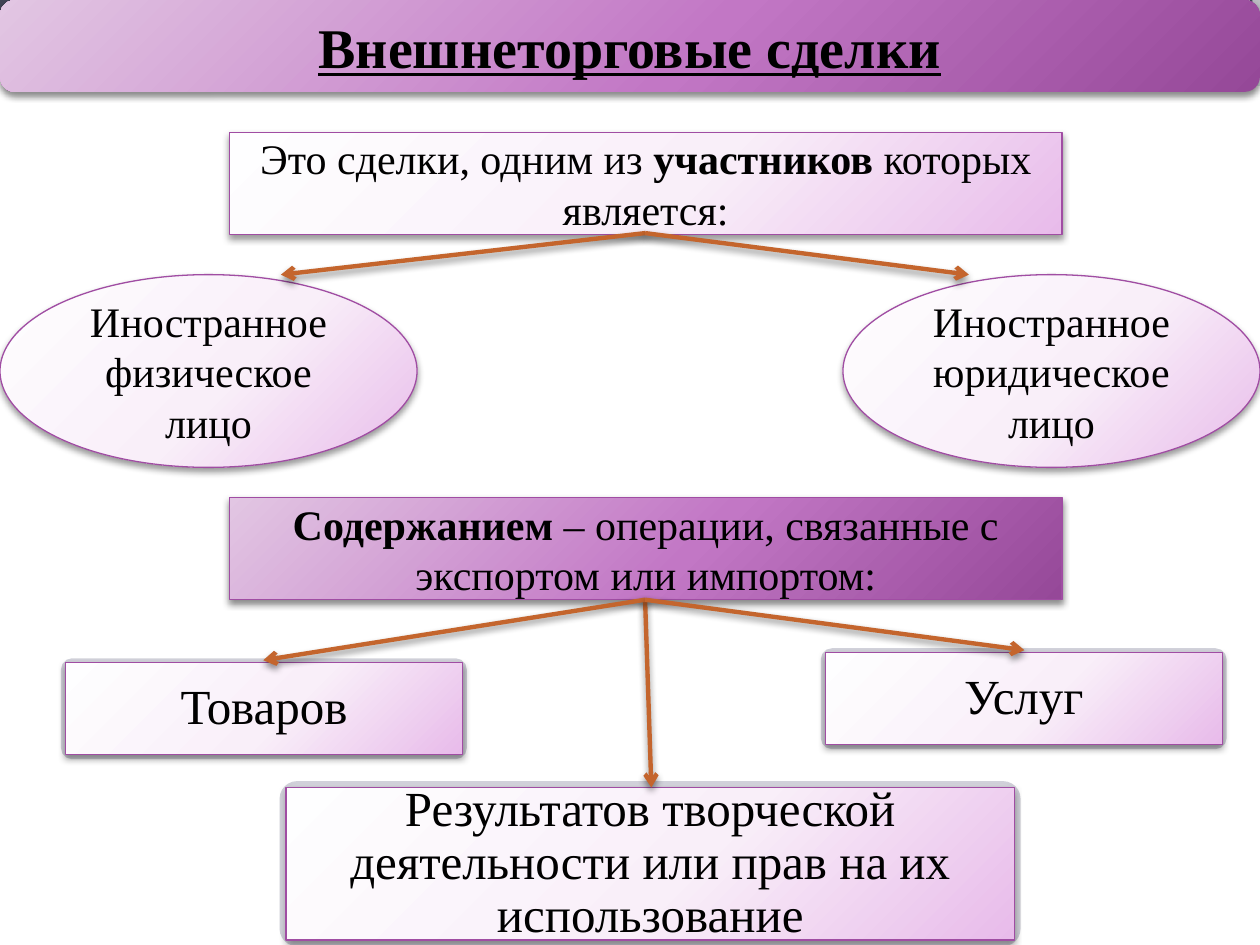
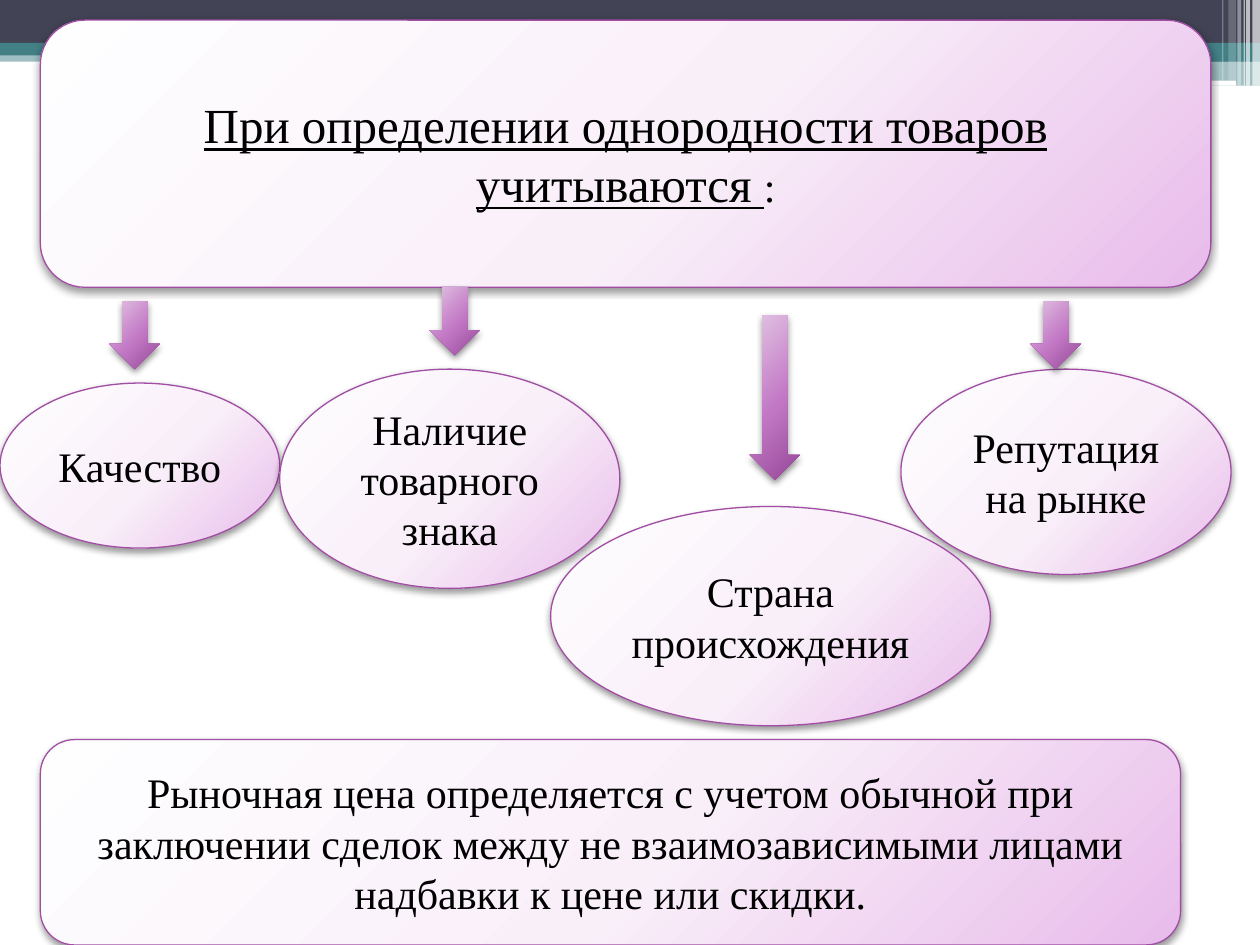
"""Build two slides on foreign trade deals and the similarity of goods."""
from dataclasses import dataclass

from pptx import Presentation
from pptx.dml.color import RGBColor
from pptx.enum.shapes import MSO_CONNECTOR as Link, MSO_SHAPE as Form
from pptx.enum.text import MSO_ANCHOR as Anchor, PP_ALIGN as Align
from pptx.oxml import parse_xml
from pptx.oxml.ns import nsdecls, qn
from pptx.util import Inches, Pt


@dataclass(frozen=True)
class Theme:
    font: str = "Times New Roman"
    title: int = 32
    large: int = 28
    body: int = 24
    ink: str = "000000"
    white: str = "FFFFFF"
    navy: str = "424456"
    teal: str = "438086"
    plaque: str = "D1D1DA"
    outline: str = "A04DA3"
    arrow: str = "C4652D"
    pale: tuple = ("FEFEFF", "F9EFF9", "E8BBEA")
    vivid: tuple = ("E2C6E3", "C277C5", "954898")


theme = Theme()
deck = Presentation()
deck.slide_width, deck.slide_height = Inches(10), Inches(7.5)
COLUMN, ROW = deck.slide_width / 100, deck.slide_height / 75
SHADOW = ('<a:outerShdw {} blurRad="51000" dist="25400" dir="5400000" rotWithShape="0">'
          '<a:srgbClr val="{}"><a:alpha val="{}000"/></a:srgbClr></a:outerShdw>')


def add_plain(slide, form, at, color, opacity=100):
    """Place an unlined shape, given in columns and rows, with one colour."""
    left, top, width, height = at
    shape = slide.shapes.add_shape(form, int(left * COLUMN), int(top * ROW),
                                   int(width * COLUMN), int(height * ROW))
    shape.shadow.inherit = False
    shape.fill.solid()
    shape.fill.fore_color.rgb = RGBColor.from_string(color)
    shape.line.fill.background()
    if opacity < 100:
        tint = shape.element.spPr.find(qn("a:solidFill"))[0]
        tint.append(parse_xml(f'<a:alpha {nsdecls("a")} val="{opacity}000"/>'))
    return shape


def add_panel(slide, form, at, paragraphs=(), colors=theme.pale, lined=True,
              size=theme.body, inset=None, spacing=None):
    """Place a shaded gradient shape with paragraphs of (text, format) runs."""
    shape = add_plain(slide, form, at, colors[0])
    if lined:
        shape.line.color.rgb = RGBColor.from_string(theme.outline)
        shape.line.width = Pt(0.75)
    properties = shape.element.spPr
    stops = "".join(f'<a:gs pos="{share}000"><a:srgbClr val="{color}"/></a:gs>'
                    for share, color in zip((0, 55, 100), colors))
    properties.replace(properties.find(qn("a:solidFill")), parse_xml(
        f'<a:gradFill {nsdecls("a")} rotWithShape="1"><a:gsLst>{stops}</a:gsLst>'
        '<a:path path="circle"><a:fillToRect l="-40000" t="-90000" r="140000" b="190000"/>'
        '</a:path></a:gradFill>'))
    opacity = 40 if colors == theme.pale else 45
    properties.find(qn("a:effectLst")).append(
        parse_xml(SHADOW.format(nsdecls("a"), theme.ink, opacity)))
    frame = shape.text_frame
    frame.word_wrap, frame.vertical_anchor = True, Anchor.MIDDLE
    if inset is not None:
        for side in ("left", "top", "right", "bottom"):
            setattr(frame, f"margin_{side}", int(inset * COLUMN))
    for index, runs in enumerate(paragraphs):
        paragraph = frame.add_paragraph() if index else frame.paragraphs[0]
        paragraph.alignment, paragraph.line_spacing = Align.CENTER, spacing
        for text, look in runs:
            run = paragraph.add_run()
            run.text = text
            for name, value in {"name": theme.font, "size": Pt(size), **look}.items():
                setattr(run.font, name, value)
            run.font.color.rgb = RGBColor.from_string(theme.ink)
    return shape


blank = deck.slide_layouts[6]
for placeholder in list(blank.placeholders):
    blank.shapes.element.remove(placeholder.element)
deals = deck.slides.add_slide(blank)
goods = deck.slides.add_slide(blank)

# Shared header band, moved to the layout
header = [
    (Form.RECTANGLE, (0, 4, 100, 0.9), theme.teal, 50),
    (Form.RECTANGLE, (0, 0, 100, 3.4), theme.navy, 100),
    (Form.RECTANGLE, (0, 3.4, 100, 1), theme.teal, 100),
    (Form.RECTANGLE, (59.2, 3.9, 40.8, 1), theme.teal, 100),
    (Form.RECTANGLE, (59.2, 4.8, 40.8, 2), theme.teal, 50),
    (Form.ROUNDED_RECTANGLE, (59.1, 5.4, 33.5, 0.3), theme.white, 100),
    (Form.ROUNDED_RECTANGLE, (80.6, 6.4, 17.5, 0.4), theme.white, 100),
]
stripes = [(99.4, 0.6, 6.8, 65), (98.9, 0.3, 6.8, 65), (98.7, 0.1, 6.8, 60),
           (98.2, 0.3, 6.8, 40), (97.5, 0.6, 6.4, 20), (97, 0.1, 6.4, 30)]
header += [(Form.RECTANGLE, (left, 0, width, height), theme.white, opacity)
           for left, width, height, opacity in stripes]
for part in header:
    blank.shapes.element.append(add_plain(deals, *part).element)

add_panel(deals, Form.ROUNDED_RECTANGLE, (0, 0, 100, 7.3),
          [[("Внешнеторговые сделки", {"bold": True, "underline": True})]],
          theme.vivid, lined=False, size=theme.title)
add_panel(deals, Form.RECTANGLE, (18.2, 10.5, 66.1, 8.1),
          [[("Это сделки, одним из ", {}), ("участников ", {"bold": True}),
            ("которых является:", {})]])
add_panel(deals, Form.RECTANGLE, (18.2, 39.5, 66.1, 8.1),
          [[("Содержанием", {"bold": True}),
            (" – операции, связанные с экспортом или импортом:", {})]], theme.vivid)
for left, party in ((0, "физическое"), (66.9, "юридическое")):
    add_panel(deals, Form.OVAL, (left, 21.8, 33.1, 15.3),
              [[(f"Иностранное {party} лицо", {})]])

subjects = [
    ((5.2, 52.6, 31.5, 7.3), 0.25, "Товаров"),
    ((65.5, 51.8, 31.5, 7.3), 0.25, "Услуг"),
    ((22.7, 62.5, 57.8, 12.1), 0.4,
     "Результатов творческой деятельности или прав на их использование"),
]
for (left, top, width, height), rim, subject in subjects:
    plaque = add_plain(deals, Form.ROUNDED_RECTANGLE,
                       (left - rim, top - rim, width + 2 * rim, height + 2 * rim),
                       theme.plaque, 90)
    plaque.adjustments[0] = 0.1
    plaque.line.color.rgb = RGBColor.from_string(theme.plaque)
    plaque.line.width = Pt(1.5)
    add_panel(deals, Form.RECTANGLE, (left, top, width, height), [[(subject, {})]],
              size=theme.large, inset=0.3, spacing=0.9)

branches = {18.5: [(22.3, 21.8), (76.9, 21.8)],
            47.6: [(51.7, 62.5), (20.9, 52.4), (81.3, 51.6)]}
for start, ends in branches.items():
    for column, row in ends:
        branch = deals.shapes.add_connector(
            Link.STRAIGHT, int(51.2 * COLUMN), int(start * ROW),
            int(column * COLUMN), int(row * ROW))
        branch.line.color.rgb = RGBColor.from_string(theme.arrow)
        branch.line.width = Pt(2.5)
        properties = branch.element.spPr
        properties.find(qn("a:ln")).append(
            parse_xml(f'<a:tailEnd {nsdecls("a")} type="arrow"/>'))
        effects = parse_xml(f'<a:effectLst {nsdecls("a")}/>')
        effects.append(parse_xml(SHADOW.format(nsdecls("a"), theme.ink, 45)))
        properties.append(effects)

add_panel(goods, Form.ROUNDED_RECTANGLE, (3.2, 1.6, 92.9, 21.2),
          [[("При определении однородности товаров учитываются ", {"underline": True}),
            (":", {"size": Pt(theme.body)})]], size=theme.large)
add_panel(goods, Form.ROUNDED_RECTANGLE, (3.2, 58.7, 90.5, 16.3),
          [[("Рыночная цена определяется с учетом обычной при заключении сделок между "
             "не взаимозависимыми лицами надбавки к цене или скидки.", {})]])
criteria = [
    ((0, 30.4, 22.2, 13.1), (8.7, 23.9, 4, 5.4), ["Качество"]),
    ((22.2, 29.3, 27, 17.4), (34.1, 22.8, 4, 5.4), ["Наличие товарного знака"]),
    ((71.5, 29.3, 26.2, 16.3), (81.8, 23.9, 4, 5.4), ["Репутация на рынке"]),
    ((43.7, 40.2, 34.9, 17.4), (59.5, 25, 4, 13.1), ["Страна", "происхождения"]),
]
for oval, pointer, lines in criteria:
    add_panel(goods, Form.OVAL, oval, [[(line, {})] for line in lines])
    add_panel(goods, Form.DOWN_ARROW, pointer, colors=theme.vivid, lined=False)

deck.save("out.pptx")
